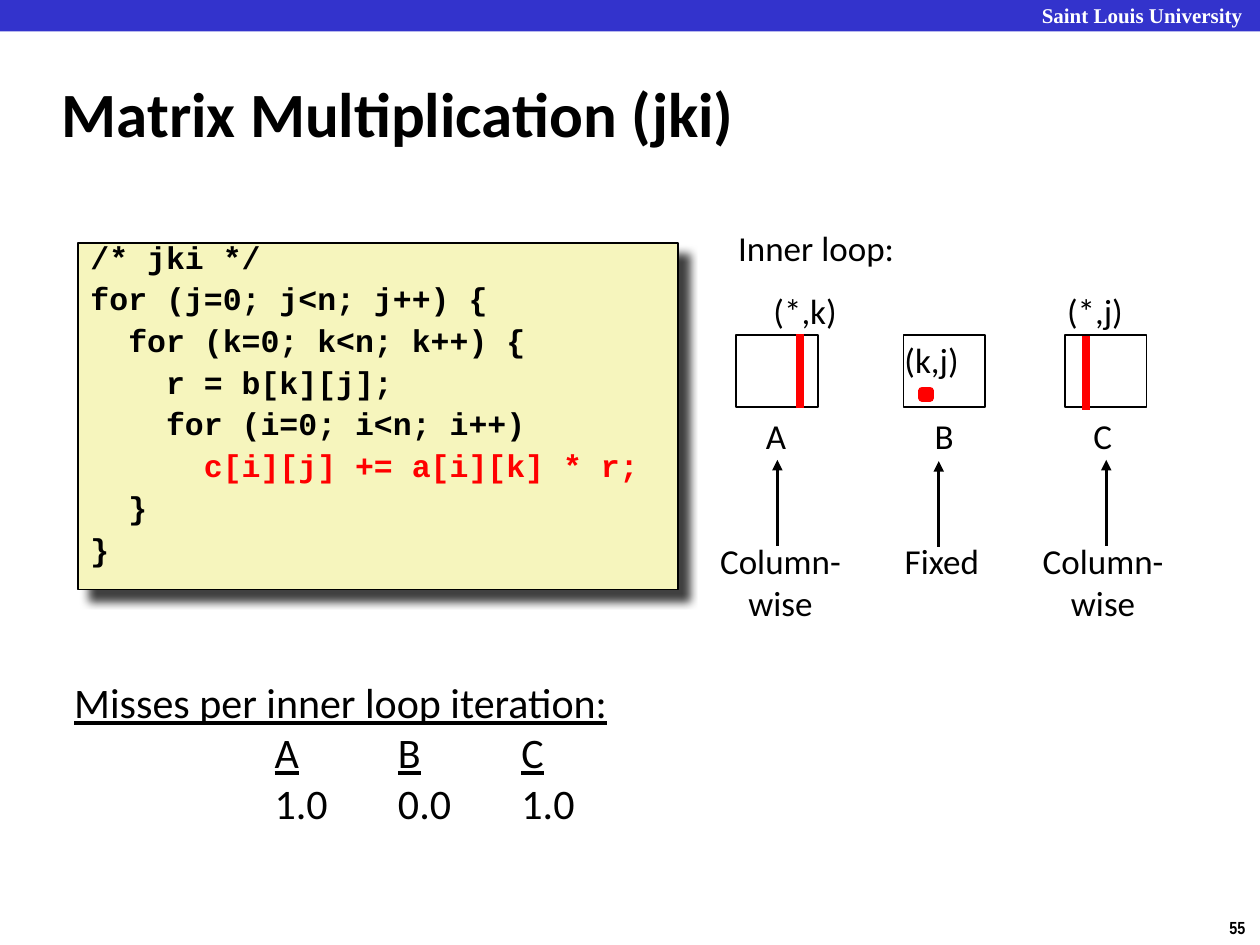
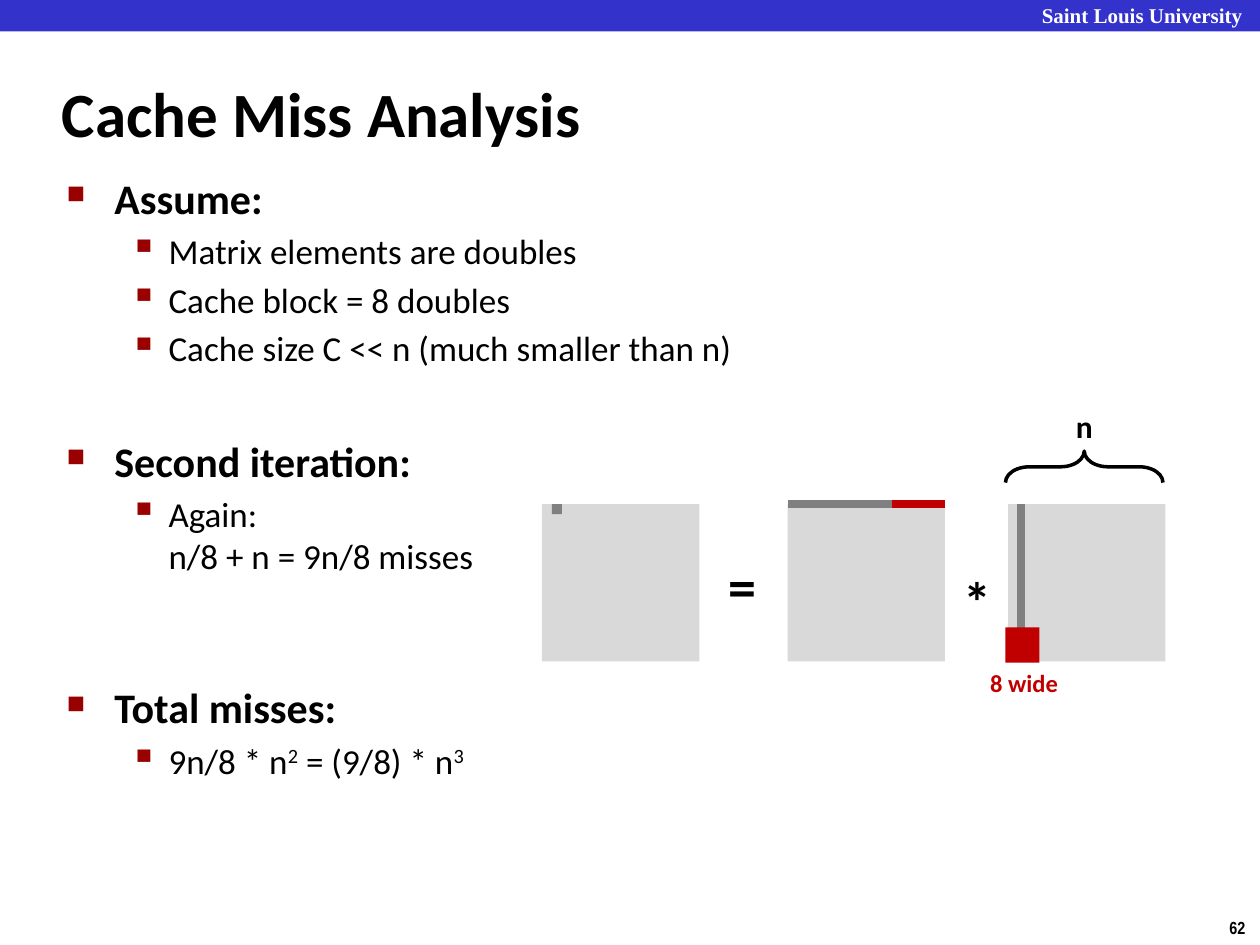
from lxml.etree import SubElement
from pptx import Presentation
from pptx.dml.color import RGBColor
from pptx.enum.shapes import MSO_CONNECTOR, MSO_SHAPE
from pptx.enum.text import MSO_ANCHOR, PP_ALIGN
from pptx.oxml.ns import qn
from pptx.util import Inches, Pt

BLACK, WHITE, RED, DARK = "000000", "FFFFFF", "FF0000", "C00000"
BLUE, CREAM, PALE, GRAY, MAROON = "3333CC", "F6F5BD", "D9D9D9", "808080", "990000"
rgb = RGBColor.from_string


def draw(slide, at, fill=None, line=None, width=1, kind=MSO_SHAPE.RECTANGLE):
    """Add a preset shape without shadow; None leaves out fill or line."""
    shape = slide.shapes.add_shape(kind, *map(Inches, at))
    shape.shadow.inherit = False
    if fill:
        shape.fill.solid()
        shape.fill.fore_color.rgb = rgb(fill)
    else:
        shape.fill.background()
    if line:
        shape.line.color.rgb = rgb(line)
        shape.line.width = Pt(width)
    else:
        shape.line.fill.background()
    return shape


def write(par, text, size, hue=BLACK, bold=False, face="Calibri"):
    """Add one run and return its font."""
    run = par.add_run()
    run.text = text
    font = run.font
    font.size, font.bold, font.name = Pt(size), bold, face
    font.color.rgb = rgb(hue)
    return font


prs = Presentation()
prs.slide_width, prs.slide_height = Inches(10), Inches(7.5)

# Shared title, band and footer
pages = []
for name, number in [("Matrix Multiplication (jki)", "55"), ("Cache Miss Analysis", "62")]:
    slide = prs.slides.add_slide(prs.slide_layouts[5])
    pages.append(slide)
    draw(slide, (0, 0, 10, 0.25), BLUE)
    for at, text, size, hue, face in [
        ((8.17, -0.03, 1.83, 0.3), "Saint Louis University", 12, WHITE, "Times New Roman"),
        ((9.66, 7.23, 0.34, 0.27), number, 10, BLACK, "Arial Narrow"),
    ]:
        box = slide.shapes.add_textbox(*map(Inches, at))
        write(box.text_frame.paragraphs[0], text, size, hue, True, face)
    title = slide.shapes.title
    title.left, title.top, title.width, title.height = map(Inches, (0.39, 0.48, 8.3, 0.83))
    title.text_frame.vertical_anchor = MSO_ANCHOR.MIDDLE
    par = title.text_frame.paragraphs[0]
    par.alignment = PP_ALIGN.LEFT
    write(par, name, 36, bold=True)
loops, cache = pages

# Code panel
panel = draw(loops, (0.62, 1.93, 4.76, 2.75), CREAM, BLACK)
effects = panel._element.spPr.find(qn("a:effectLst"))
shadow = SubElement(effects, qn("a:outerShdw"), blurRad=str(Pt(5)), dist=str(Pt(8.5)),
                    dir="2700000", algn="tl", rotWithShape="0")
tint = SubElement(shadow, qn("a:srgbClr"), val=BLACK)
SubElement(tint, qn("a:alpha"), val="75000")
frame = panel.text_frame
frame.word_wrap = True
frame.vertical_anchor = MSO_ANCHOR.TOP
code = [
    "/* jki */",
    "for (j=0; j<n; j++) {",
    "  for (k=0; k<n; k++) {",
    "    r = b[k][j];",
    "    for (i=0; i<n; i++)",
    "      c[i][j] += a[i][k] * r;",
    "  }",
    "}",
]
for i, text in enumerate(code):
    par = frame.add_paragraph() if i else frame.paragraphs[0]
    par.alignment = PP_ALIGN.LEFT
    par.line_spacing = 0.65
    par.space_before = Pt(9.8 if i else 0)
    write(par, text, 18, RED if "+=" in text else BLACK, True, "Courier New")

# Matrices of the inner loop
for left in (5.84, 7.17, 8.45):
    draw(loops, (left, 2.66, 0.65, 0.57), WHITE, BLACK)
draw(loops, (7.32, 3.1, 0.06, 0.06), RED, RED, 4.5)

# Miss counts, in columns set by tab stops
box = loops.shapes.add_textbox(*map(Inches, (0.49, 5.32, 6.01, 1.34)))
frame = box.text_frame
frame.word_wrap = True
write(frame.paragraphs[0], "Misses per inner loop iteration:", 24).underline = True
for row, lined in [("ABC", True), (("1.0", "0.0", "1.0"), False)]:
    par = frame.add_paragraph()
    tabs = SubElement(par._p.get_or_add_pPr(), qn("a:tabLst"))
    for i, cell in enumerate(row):
        SubElement(tabs, qn("a:tab"), pos=str(Inches(1.59 + 0.98 * i)), algn="l")
        write(par, "\t", 24)
        write(par, cell, 24).underline = lined

# Bulleted outline: level, space before, text
box = cache.shapes.add_textbox(*map(Inches, (0.43, 1.32, 8.64, 5.1)))
frame = box.text_frame
frame.word_wrap = True
outline = [
    (0, 0, "Assume:"),
    (1, 3.8, "Matrix elements are doubles"),
    (1, 3.8, "Cache block = 8 doubles"),
    (1, 3.8, "Cache size C << n (much smaller than n)"),
    (0, 37.8, "Second iteration:"),
    (1, 3.8, "Again:\nn/8 + n = 9n/8 misses"),
    (0, 60.5, "Total misses:"),
    (1, 3.8, "9n/8 * n^2^ = (9/8) * n^3"),
]
marks = [(0.38, 0.38, "60000", "■"), (0.81, 0.31, "110000", "▪")]
for i, (level, gap, text) in enumerate(outline):
    par = frame.add_paragraph() if i else frame.paragraphs[0]
    par.level = level
    margin, hang, scale, mark = marks[level]
    props = par._p.get_or_add_pPr()
    props.set("marL", str(Inches(margin)))
    props.set("indent", str(-Inches(hang)))
    SubElement(SubElement(props, qn("a:buClr")), qn("a:srgbClr"), val=MAROON)
    SubElement(props, qn("a:buSzPct"), val=scale)
    SubElement(props, qn("a:buChar"), char=mark)
    par.space_before = Pt(gap)
    for n, line in enumerate(text.split("\n")):
        if n:
            par.add_line_break()
        for k, part in enumerate(line.split("^")):
            font = write(par, part, 20 if level else 24, bold=not level)
            if k % 2:
                font._element.set("baseline", "30000")

# Blocks of the product
for left in (4.3, 6.25, 8):
    draw(cache, (left, 4, 1.25, 1.25), PALE)
draw(cache, (4.38, 4, 0.08, 0.08), GRAY)
brace = draw(cache, (8.48, 3.08, 0.25, 1.25), None, BLACK, 2, MSO_SHAPE.LEFT_BRACE)
brace.rotation = 90
brace.adjustments[0] = 0.75

# Marked rows and columns, and arrows
strokes = [
    (loops, (6.35, 3.24, 6.35, 2.65), RED, False),
    (loops, (8.62, 3.25, 8.62, 2.67), RED, False),
    (loops, (6.17, 4.33, 6.17, 3.65), BLACK, True),
    (loops, (7.45, 4.34, 7.45, 3.66), BLACK, True),
    (loops, (8.78, 4.33, 8.78, 3.65), BLACK, True),
    (cache, (6.25, 4, 7.5, 4), GRAY, False),
    (cache, (8.1, 4, 8.1, 5.25), GRAY, False),
    (cache, (7.08, 4, 7.5, 4), DARK, False),
]
for slide, ends, hue, arrow in strokes:
    link = slide.shapes.add_connector(MSO_CONNECTOR.STRAIGHT, *map(Inches, ends))
    link.line.color.rgb = rgb(hue)
    link.line.width = Pt(2 if arrow else 4.5)
    if arrow:
        SubElement(link.line._get_or_add_ln(), qn("a:tailEnd"), type="triangle")
    SubElement(link._element.spPr, qn("a:effectLst"))
draw(cache, (7.98, 4.98, 0.27, 0.28), DARK)

# Labels
labels = [
    (loops, (5.76, 1.75, 1.45, 0.43), "Inner loop:", 20, BLACK),
    (loops, (6.04, 2.25, 0.71, 0.43), "(*,k)", 20, BLACK),
    (loops, (7.08, 2.64, 0.63, 0.43), "(k,j)", 20, BLACK),
    (loops, (8.37, 2.25, 0.65, 0.43), "(*,j)", 20, BLACK),
    (loops, (5.98, 3.24, 0.37, 0.43), "A", 20, BLACK),
    (loops, (7.32, 3.24, 0.35, 0.43), "B", 20, BLACK),
    (loops, (8.58, 3.24, 0.35, 0.43), "C", 20, BLACK),
    (loops, (5.61, 4.23, 1.17, 0.77), "Column-\nwise", 20, BLACK),
    (loops, (7.08, 4.23, 0.79, 0.43), "Fixed", 20, BLACK),
    (loops, (8.17, 4.23, 1.17, 0.77), "Column-\nwise", 20, BLACK),
    (cache, (8.44, 3.18, 0.34, 0.4), "n", 18, BLACK),
    (cache, (5.68, 4.33, 0.43, 0.64), "=", 32, BLACK),
    (cache, (7.55, 4.45, 0.43, 0.64), "*", 32, BLACK),
    (cache, (7.76, 5.25, 0.74, 0.34), "8 wide", 14, DARK),
]
for slide, at, text, size, hue in labels:
    frame = slide.shapes.add_textbox(*map(Inches, at)).text_frame
    for i, line in enumerate(text.split("\n")):
        par = frame.add_paragraph() if i else frame.paragraphs[0]
        par.alignment = PP_ALIGN.CENTER if at[1] == 4.23 else PP_ALIGN.LEFT
        write(par, line, size, hue, slide is cache)

prs.save("out.pptx")
